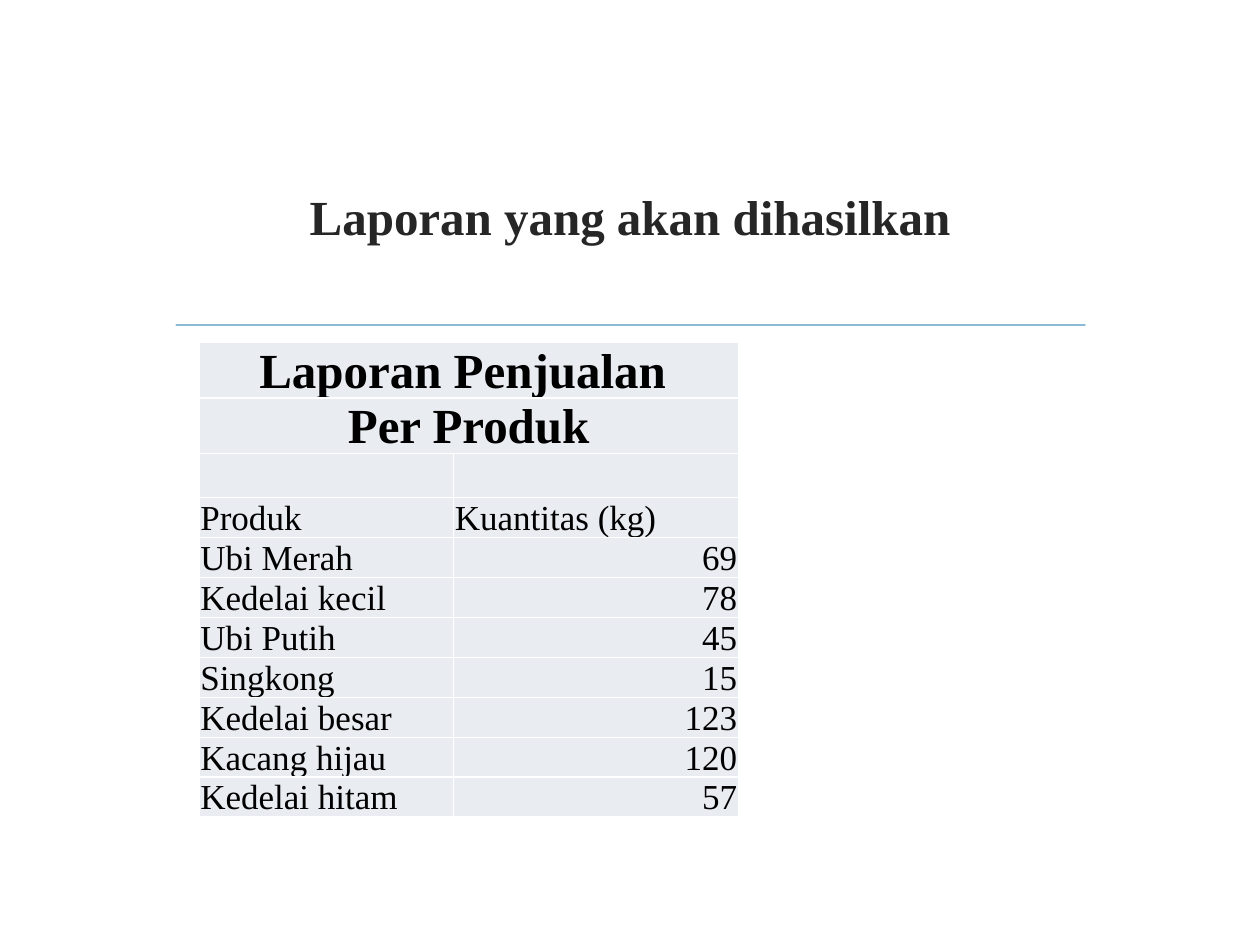
import pptx
import pptx.util
import pptx.dml.color
import pptx.enum.shapes
import pptx.enum.text
import pptx.oxml
import pptx.oxml.ns
from dataclasses import dataclass

Inches = pptx.util.Inches
Pt = pptx.util.Pt
Align = pptx.enum.text.PP_ALIGN
Anchor = pptx.enum.text.MSO_ANCHOR


@dataclass(frozen=True)
class Theme:
    font: str = "Times New Roman"
    title: str = "262626"
    ink: str = "000000"
    rule: str = "8ABAD4"
    fill: str = "E9EDF2"
    edge: str = "FFFFFF"
    large: int = 28
    body: int = 20
    tight: float = 0.92


THEME = Theme()
HEADS = ["Laporan Penjualan ", "Per Produk"]
ROWS = [
    ("", ""),
    ("Produk", "Kuantitas (kg)"),
    ("Ubi Merah", 69),
    ("Kedelai kecil", 78),
    ("Ubi Putih", 45),
    ("Singkong", 15),
    ("Kedelai besar", 123),
    ("Kacang hijau", 120),
    ("Kedelai hitam", 57),
]


def rgb(code):
    return pptx.dml.color.RGBColor.from_string(code)


def write(frame, text, size=THEME.body, color=THEME.ink, bold=False,
          align=Align.LEFT, space=THEME.tight):
    para = frame.paragraphs[0]
    para.alignment = align
    para.line_spacing = space
    if not text:
        return
    run = para.add_run()
    run.text = text
    font = run.font
    font.name, font.size, font.bold = THEME.font, Pt(size), bold
    font.color.rgb = rgb(color)


def add_title(slide, left, top, width, height):
    box = slide.shapes.add_textbox(left, top, width, height)
    frame = box.text_frame
    frame.word_wrap = True
    frame.vertical_anchor = Anchor.MIDDLE
    write(frame, "Laporan yang akan dihasilkan", size=THEME.large,
          color=THEME.title, bold=True, align=Align.CENTER, space=1.0)


def add_rule(slide, left, top, width):
    line = slide.shapes.add_connector(
        pptx.enum.shapes.MSO_CONNECTOR.STRAIGHT, left, top, left + width, top)
    line.line.color.rgb = rgb(THEME.rule)
    line.line.width = Pt(1.25)
    props = line._element.spPr
    props.find(pptx.oxml.ns.qn("a:ln")).set("cap", "rnd")
    props.append(pptx.oxml.parse_xml(
        f"<a:effectLst {pptx.oxml.ns.nsdecls('a')}/>"))


def style_cell(cell):
    cell.margin_left = cell.margin_right = cell.margin_top = Inches(0.01)
    cell.margin_bottom = 0
    cell.vertical_anchor = Anchor.BOTTOM
    cell.fill.solid()
    cell.fill.fore_color.rgb = rgb(THEME.fill)
    # Borders come before the fill in the cell properties
    props = cell._tc.get_or_add_tcPr()
    for place, side in enumerate(("lnL", "lnR", "lnT", "lnB")):
        props.insert(place, pptx.oxml.parse_xml(
            f'<a:{side} {pptx.oxml.ns.nsdecls("a")} w="{Pt(1)}"><a:solidFill>'
            f'<a:srgbClr val="{THEME.edge}"/></a:solidFill></a:{side}>'))


def add_report(slide, left, top, width, height):
    count = len(HEADS) + len(ROWS)
    table = slide.shapes.add_table(
        count, 2, left, top, width, height).table
    table.first_row = table.horz_banding = False

    # Column widths and row heights
    first = Inches(2.02)
    table.columns[0].width, table.columns[1].width = first, width - first
    tops = [Inches(0.43), Inches(0.44), Inches(0.35)]
    rest = (height - sum(tops)) // (count - len(tops))
    for place, row in enumerate(table.rows):
        row.height = tops[place] if place < len(tops) else rest
        for cell in row.cells:
            style_cell(cell)

    # Heading rows span both columns
    for place, text in enumerate(HEADS):
        cell = table.cell(place, 0)
        cell.merge(table.cell(place, 1))
        write(cell.text_frame, text, size=THEME.large, bold=True,
              align=Align.CENTER)

    # Products and their quantities
    for place, row in enumerate(ROWS, len(HEADS)):
        for col, value in enumerate(row):
            align = Align.RIGHT if isinstance(value, int) else Align.LEFT
            write(table.cell(place, col).text_frame, str(value), align=align)


def main():
    deck = pptx.Presentation()
    deck.slide_width, deck.slide_height = Inches(10), Inches(7.5)
    slide = deck.slides.add_slide(deck.slide_layouts[6])
    add_rule(slide, Inches(1.4), Inches(2.58), Inches(7.21))
    add_title(slide, Inches(1.28), Inches(1), Inches(7.44), Inches(1.43))
    add_report(slide, Inches(1.58), Inches(2.72), Inches(4.28), Inches(3.75))
    deck.save("out.pptx")


if __name__ == "__main__":
    main()
